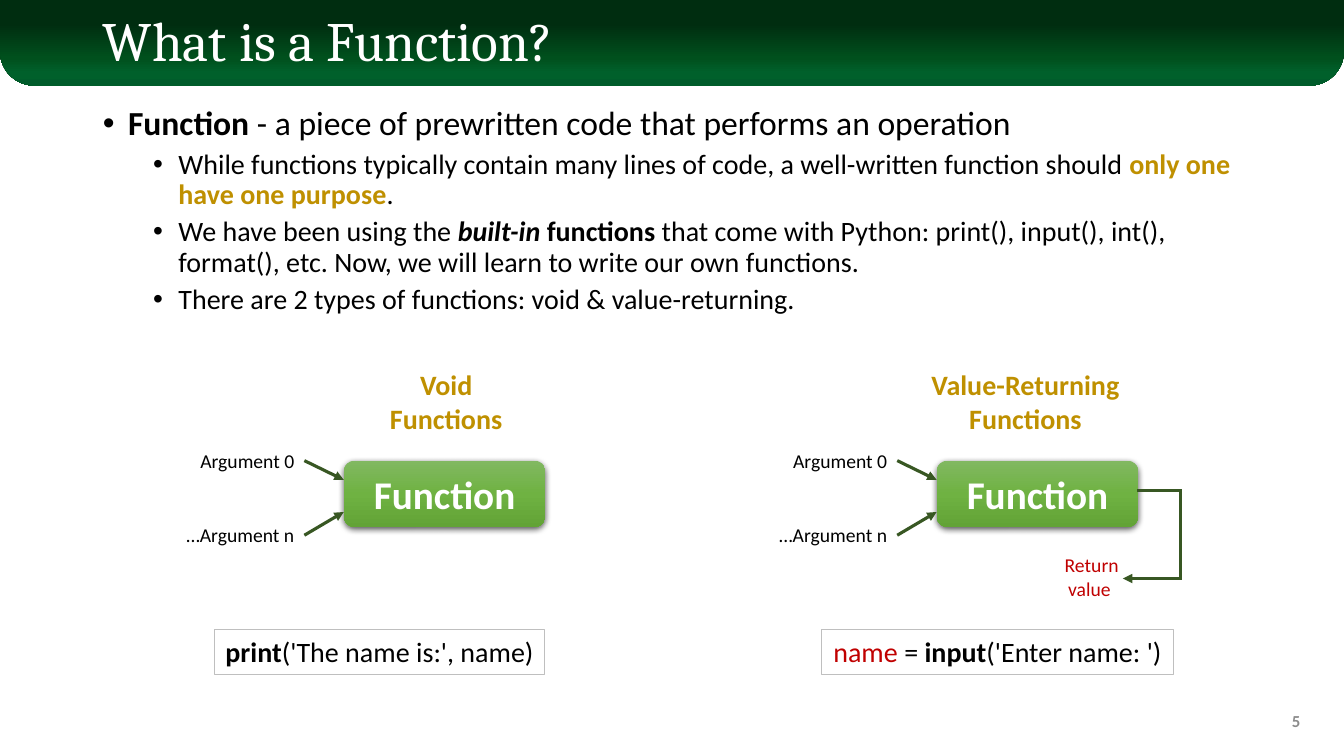
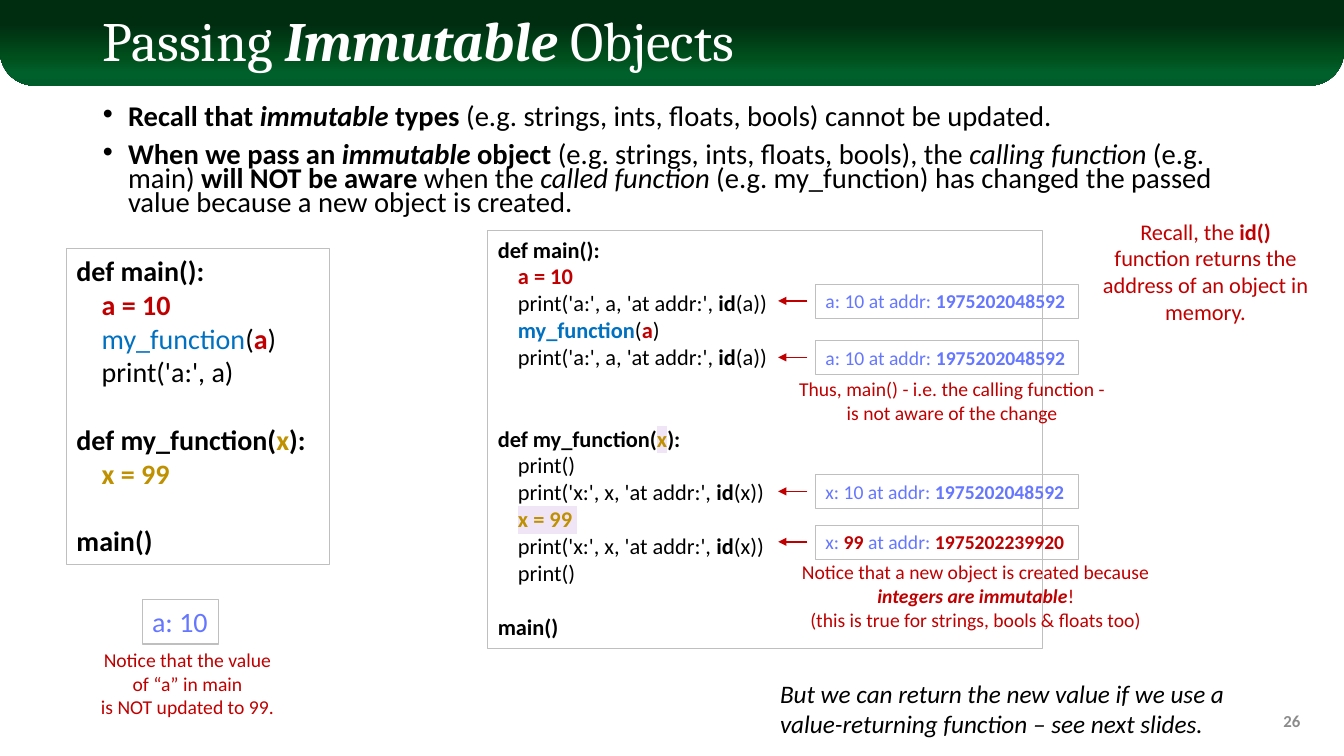
import collections
import dataclasses

import lxml.etree
import pptx
import pptx.dml.color
import pptx.enum.shapes
import pptx.enum.text
import pptx.oxml.ns
import pptx.util

qn = pptx.oxml.ns.qn
Pt = pptx.util.Pt
Inches = pptx.util.Inches
ALIGN = pptx.enum.text.PP_ALIGN
ANCHOR = pptx.enum.text.MSO_ANCHOR
FIT = pptx.enum.text.MSO_AUTO_SIZE
SHAPE = pptx.enum.shapes.MSO_SHAPE


@dataclasses.dataclass(frozen=True)
class Theme:
    width: float = 13.33
    height: float = 7.5
    heading: str = "Cambria"
    body: str = "Calibri"
    white: str = "FFFFFF"
    black: str = "000000"
    gray: str = "8C8C8C"
    border: str = "BFBFBF"
    gold: str = "BF9000"
    red: str = "C00000"
    blue: str = "0070C0"
    output: str = "6577FF"
    arrow: str = "385723"
    marker: str = "EFE5F7"
    band: tuple = ((28, "002D10"), (68, "00501D"), (85, "00602B"), (100, "005C2B"))
    button: tuple = ((0, "81B861"), (50, "6FB242"), (100, "62A336"))
    title_size: float = 39.6
    button_size: int = 28
    lead_size: int = 24
    text_size: int = 20
    dense_size: float = 20.4
    remark_size: int = 18
    trace_size: int = 16
    note_size: int = 14
    number_size: int = 12
    line_height: float = 1.22
    code_indent: float = 0.9


T = Theme()
Line = collections.namedtuple("Line", "runs depth gap")


def line(*runs, depth=0, gap=0):
    return Line(runs, depth, gap)


def px(share):
    return Inches(T.width * share / 100)


def py(share):
    return Inches(T.height * share / 100)


def area(x, y, w, h):
    return px(x), py(y), px(w), py(h)


def move(sp, *box):
    sp.left, sp.top, sp.width, sp.height = area(*box)


def rgb(value):
    return pptx.dml.color.RGBColor.from_string(value)


def add_node(parent, tag, **attrs):
    return lxml.etree.SubElement(parent, qn(tag), attrs)


def write(p, runs, size, style="black", name=T.body, align=ALIGN.LEFT):
    p.alignment = align
    p.font.name, p.font.size = name, Pt(size)
    for item in runs:
        text, extra = (item, "") if isinstance(item, str) else item
        words = f"{style} {extra}".split()
        color = [w for w in words if w not in ("b", "i", "hl")][-1]
        r = p.add_run()
        r.text = text
        r.font.name, r.font.size = name, Pt(size)
        r.font.bold, r.font.italic = "b" in words, "i" in words
        r.font.color.rgb = rgb(getattr(T, color))
        if "hl" in words:
            mark = lxml.etree.Element(qn("a:highlight"))
            add_node(mark, "a:srgbClr", val=T.marker)
            r.font.fill  # noqa
            r._r.get_or_add_rPr().find(qn("a:solidFill")).addnext(mark)


def write_lines(tf, lines, size, style="black", align=ALIGN.LEFT):
    for n, ln in enumerate(lines):
        p = tf.add_paragraph() if n else tf.paragraphs[0]
        if ln.depth:
            indent = Pt(size * T.code_indent * ln.depth)
            p._p.get_or_add_pPr().set("marL", str(int(indent)))
        if ln.gap:
            p.space_before = Pt(round(size * T.line_height * ln.gap, 1))
        write(p, ln.runs, size, style, align=align)


def add_text(s, box, lines, size, style="black", align=ALIGN.LEFT,
             wrap=True, border=False):
    sp = s.shapes.add_textbox(*area(*box))
    tf = sp.text_frame
    tf.word_wrap, tf.auto_size = wrap, FIT.SHAPE_TO_FIT_TEXT
    if border:
        sp.line.color.rgb, sp.line.width = rgb(T.border), Pt(0.75)
    write_lines(tf, lines, size, style, align)
    return sp


def set_gradient(sp, stops):
    sp.fill.gradient()
    sp.fill.gradient_angle = 270
    gs_list = sp.element.spPr.find(qn("a:gradFill")).find(qn("a:gsLst"))
    gs_list.clear()
    for pos, color in stops:
        gs = add_node(gs_list, "a:gs", pos=str(pos * 1000))
        add_node(gs, "a:srgbClr", val=color)
    sp.line.fill.background()
    sp.shadow.inherit = False


def add_line(s, start, end, color, width, arrow=True):
    c = s.shapes.add_connector(
        pptx.enum.shapes.MSO_CONNECTOR.STRAIGHT,
        px(start[0]), py(start[1]), px(end[0]), py(end[1]))
    c.line.color.rgb, c.line.width = rgb(color), Pt(width)
    if arrow:
        add_node(c.element.spPr.find(qn("a:ln")), "a:tailEnd", type="triangle")
    add_node(c.element.spPr, "a:effectLst")


def add_button(s, x, y, w, h, label):
    sp = s.shapes.add_shape(SHAPE.ROUNDED_RECTANGLE, *area(x, y, w, h))
    set_gradient(sp, T.button)
    shadow = add_node(sp.element.spPr.find(qn("a:effectLst")), "a:outerShdw",
                      blurRad=str(Pt(4.5)), dist=str(Pt(1.5)), dir="5400000",
                      algn="ctr", rotWithShape="0")
    add_node(add_node(shadow, "a:srgbClr", val=T.black), "a:alpha", val="63000")
    sp.text_frame.vertical_anchor = ANCHOR.MIDDLE
    write_lines(sp.text_frame, [line(label)], T.button_size, "white b", ALIGN.CENTER)


def add_bullets(tf, lines, sizes, spacing):
    tf.auto_size = FIT.NONE
    for n, ln in enumerate(lines):
        p = tf.add_paragraph() if n else tf.paragraphs[0]
        p.level = ln.depth
        pPr = p._p.get_or_add_pPr()
        pPr.set("marL", str(Inches(0.25 + 0.5 * ln.depth)))
        pPr.set("indent", str(Inches(-0.25)))
        add_node(pPr, "a:buFont", typeface="Arial")
        add_node(pPr, "a:buChar", char="•")
        p.line_spacing = spacing
        p.space_before = Pt(5 if ln.depth else 10)
        write(p, ln.runs, sizes[ln.depth])


def add_band(s, layout):
    band = s.shapes.add_shape(SHAPE.ROUND_2_SAME_RECTANGLE, *area(0, 0, 100, 11.33))
    band.adjustments[0], band.adjustments[1] = 0, 0.4
    set_gradient(band, T.band)
    layout.shapes.element.insert(2, band.element)


def add_slide(prs, title, number, body_height):
    s = prs.slides.add_slide(prs.slide_layouts[1])
    head, body = s.placeholders
    move(head, 6.9, 1.73, 86.27, 8.13)
    move(body, 6.9, 13.47, 86.27, body_height)
    tf = head.text_frame
    tf.auto_size, tf.vertical_anchor = FIT.NONE, ANCHOR.MIDDLE
    tf.paragraphs[0].line_spacing = 0.9
    write(tf.paragraphs[0], title, T.title_size, "white", T.heading)
    sp = add_text(s, (75, 92.67, 22.5, 5.33), [line(number)],
                  T.number_size, "gray b", ALIGN.RIGHT)
    sp.text_frame.auto_size = FIT.NONE
    sp.text_frame.vertical_anchor = ANCHOR.MIDDLE
    return s, body.text_frame


def add_function_diagram(s, x, heading, heading_x, heading_w):
    top, tip = 60.93, x - 2.93
    add_text(s, (heading_x, 48, heading_w, 10.27), [line(heading), line("Functions")],
             T.text_size, "gold b", ALIGN.CENTER, wrap=False)
    add_button(s, x, top, 15, 8.8, "Function")
    arguments = (("Argument 0", 8.55, 58.67, top, 63.47),
                 ("…Argument n", 9.6, 68.53, 70.8, 67.73))
    for label, w, y, start, end in arguments:
        add_line(s, (tip, start), (x, end), T.arrow, 2.25)
        add_text(s, (tip - w, y, w, 4.53), [line(label)], T.note_size,
                 align=ALIGN.RIGHT, wrap=False)


def add_return_path(s):
    add_line(s, (84.6, 64.93), (87.75, 64.93), T.arrow, 2.25, arrow=False)
    add_line(s, (87.83, 64.7), (87.83, 76.7), T.arrow, 2.25, arrow=False)
    add_line(s, (87.9, 76.53), (83.55, 76.53), T.arrow, 2.25)
    add_text(s, (78.45, 72.53, 5.55, 7.6), [line("Return"), line("value ")],
             T.note_size, "red", ALIGN.CENTER, wrap=False)


def add_output(s, y, *runs):
    add_text(s, (60.68, y, 19.55, 4.53), [line(*runs)], T.note_size, "output",
             wrap=False, border=True)
    add_line(s, (60.08, y + 2.2), (57.9, y + 2.2), T.red, 1)


def add_note(s, box, *lines, size=T.note_size):
    add_text(s, box, lines, size, "red", ALIGN.CENTER)


def build_function_slide(prs):
    s, body = add_slide(prs, ["What is a Function?"], "5", 75.6)
    add_bullets(body, [
        line(("Function", "b"), " - a piece of prewritten code that performs an operation"),
        line("While functions typically contain many lines of code, a well-written "
             "function should ", ("only one have one purpose", "b gold"), ".", depth=1),
        line("We have been using the ", ("built-in ", "b i"), ("functions", "b"),
             " that come with Python: print(), input(), int(), format(), etc. "
             "Now, we will learn to write our own functions.", depth=1),
        line("There are 2 types of functions: void & value-returning.", depth=1),
    ], (T.lead_size, T.text_size), 0.9)
    add_function_diagram(s, 25.58, "Void", 28.2, 10)
    add_function_diagram(s, 69.69, "Value-Returning", 68.5, 15.6)
    add_return_path(s)
    calls = (
        (15.98, 24.53, line(("print", "b"), "('The name is:', name)")),
        (61.13, 26.18, line(("name", "red"), " = ", ("input", "b"), "('Enter name: ')")),
    )
    for x, w, call in calls:
        add_text(s, (x, 83.33, w, 5.87), [call], T.text_size,
                 align=ALIGN.CENTER, wrap=False, border=True)
    return s


def print_address(name):
    return line(f"print('{name}:', {name}, 'at addr:', ", ("id", "b"), f"({name}))", depth=1)


def build_immutable_slide(prs):
    s, body = add_slide(prs, ["Passing ", ("Immutable", "b i"), " Objects"], "26", 17.2)
    add_bullets(body, [
        line(("Recall that ", "b"), ("immutable", "b i"), (" types ", "b"),
             "(e.g. strings, ints, floats, bools) cannot be updated."),
        line(("When we pass an ", "b"), ("immutable", "b i"), (" object ", "b"),
             "(e.g. strings, ints, floats, bools), the ", ("calling function ", "i"),
             "(e.g. main) ", ("will NOT be aware ", "b"), "when the ",
             ("called function", "i"), " (e.g. my_function) has changed the passed "
             "value because a new object is created."),
    ], (T.dense_size,), 0.7)

    main_def = line(("def main():", "b"))
    assign = line(("a = 10", "b red"), depth=1)
    run_main = line(("main()", "b"), gap=1)
    add_text(s, (4.95, 32.93, 19.58, 41.73), [
        main_def,
        assign,
        line(("my_function", "blue"), "(", ("a", "b red"), ")", depth=1),
        line("print('a:', a)", depth=1),
        line(("def my_function(", "b"), ("x", "b gold"), ("):", "b"), gap=1),
        line(("x = 99", "b gold"), depth=1),
        run_main,
    ], T.text_size, border=True)
    add_text(s, (36.3, 30.53, 41.3, 55.2), [
        main_def,
        assign,
        print_address("a"),
        line(("my_function", "b blue"), "(", ("a", "b red"), ")", depth=1),
        print_address("a"),
        line(("def my_function(", "b"), ("x", "b gold hl"), ("):", "b"), gap=2),
        line("print()", depth=1),
        print_address("x"),
        line(("x = 99 ", "b gold hl"), depth=1),
        print_address("x"),
        line("print()", depth=1),
        run_main,
    ], T.trace_size, border=True)

    address = ("1975202048592", "b")
    add_output(s, 37.6, "a: 10 at addr: ", address)
    add_output(s, 45.07, "a: 10 at addr: ", address)
    add_output(s, 62.8, "x: 10 at addr: ", address)
    add_output(s, 69.47, "x: ", ("99", "b red"), " at addr: ", ("1975202239920", "b red"))
    add_text(s, (10.58, 79.33, 5.7, 5.87), [line("a: 10")], T.text_size, "output",
             wrap=False, border=True)

    add_note(s, (81.3, 28.13, 16.8, 15.73),
             line("Recall, the ", ("id() ", "b"),
                  "function returns the address of an object in memory."),
             size=T.trace_size)
    add_note(s, (58.43, 49.2, 24.83, 7.6),
             line("Thus, main() - i.e. the calling function -"),
             line("is not aware of the change"))
    add_note(s, (58.2, 73.47, 28.8, 10.8),
             line("Notice that a new object is created because ",
                  ("integers are immutable", "b i"), "!"),
             line("(this is true for strings, bools & floats too)"))
    add_note(s, (6.6, 85.07, 14.7, 10.8),
             line("Notice that the value of “a” in main"),
             line("is NOT updated to 99."))
    add_text(s, (57.3, 89.07, 36.08, 9.47),
             [line("But we can return the new value if we use a value-returning "
                   "function – see next slides.")], T.remark_size, "black i")


def main():
    prs = pptx.Presentation()
    prs.slide_width, prs.slide_height = Inches(T.width), Inches(T.height)
    s = build_function_slide(prs)
    add_band(s, prs.slide_layouts[1])
    build_immutable_slide(prs)
    prs.save("out.pptx")


main()
